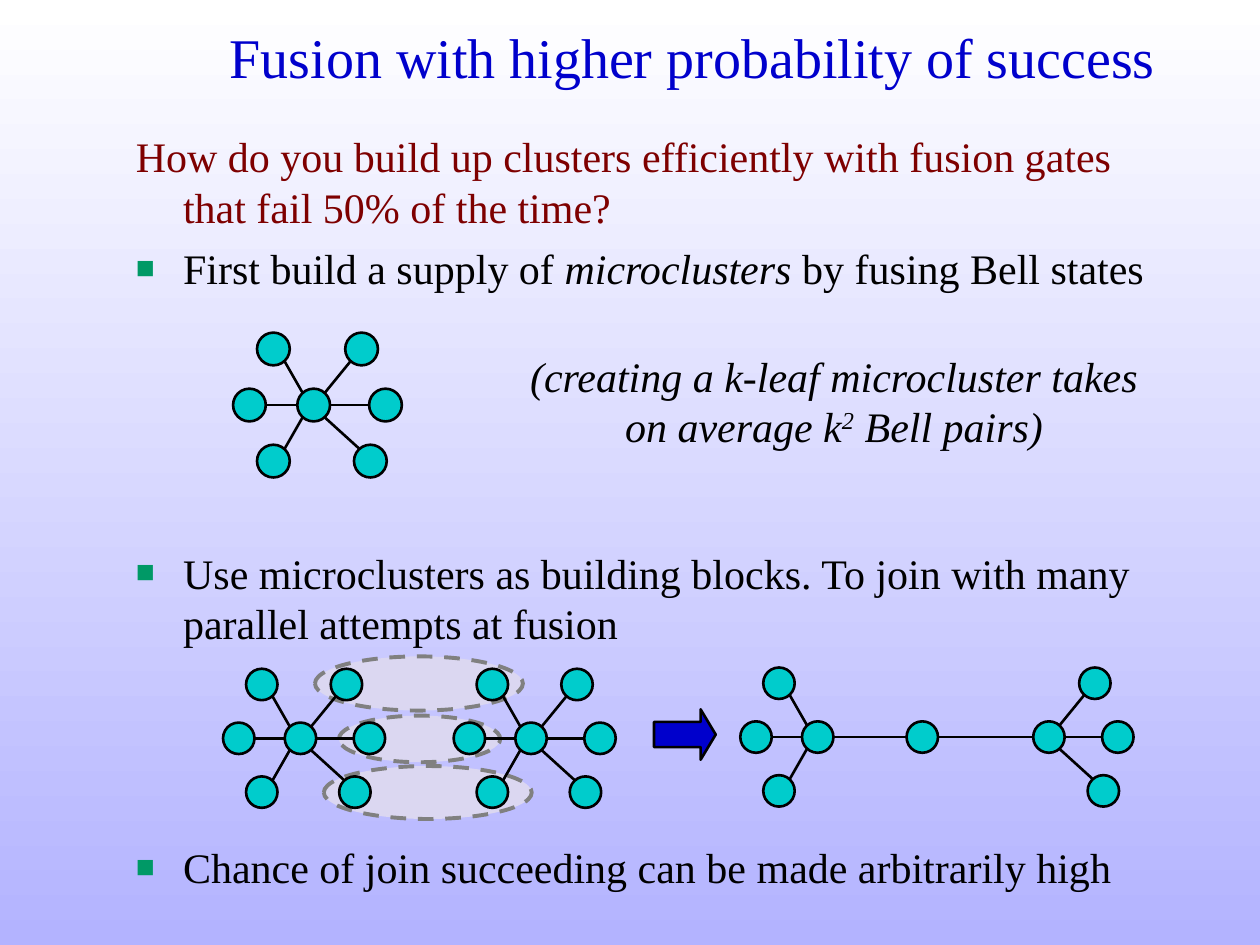
"""Build the slide on fusing microclusters with a higher probability of success."""
import lxml.etree
import pptx
import pptx.dml.color
import pptx.enum.dml
import pptx.enum.shapes
import pptx.enum.text
import pptx.oxml.ns
import pptx.util

RGBColor = pptx.dml.color.RGBColor
MSO_SHAPE = pptx.enum.shapes.MSO_SHAPE
PP_ALIGN = pptx.enum.text.PP_ALIGN

WHITE = RGBColor(0xFF, 0xFF, 0xFF)
LAVENDER = RGBColor(0xB3, 0xB3, 0xFF)
BLACK = RGBColor(0x00, 0x00, 0x00)
BLUE = RGBColor(0x00, 0x00, 0xCC)
MAROON = RGBColor(0x7E, 0x00, 0x00)
TEAL = RGBColor(0x00, 0xCC, 0xCC)
GREEN = RGBColor(0x00, 0x99, 0x66)
GREY = RGBColor(0x80, 0x80, 0x80)
PALE = RGBColor(0xDB, 0xD7, 0xF1)

FONT = "Times New Roman"
SLIDE_WIDTH, SLIDE_HEIGHT = pptx.util.Inches(10), pptx.util.Inches(7.5)
COLUMN, ROW = SLIDE_WIDTH / 100, SLIDE_HEIGHT / 75
NODE = 2.6
SMALL = 0.96
GAP = 6
BLANK_LINE = 28.85 + GAP

LEFT_LEAVES = [(-3.2, -4.45), (-5.1, 0), (-3.2, 4.45)]
RIGHT_LEAVES = [(3.8, -4.45), (5.7, 0), (4.5, 4.45)]
ALL_LEAVES = LEFT_LEAVES + RIGHT_LEAVES

BODY = [
    ([("How do you build up clusters efficiently with fusion gates "
       "that fail 50% of the time?", False)], MAROON, False, 0),
    ([("First build a supply of ", False), ("microclusters ", True),
      ("by fusing Bell states", False)], BLACK, True, GAP),
    ([("Use microclusters as building blocks. To join with many "
       "parallel attempts at fusion", False)], BLACK, True, GAP + 4 * BLANK_LINE),
    ([("Chance of join succeeding can be made arbitrarily high", False)],
     BLACK, True, GAP + 3 * BLANK_LINE),
]


def grid(left, top, width, height):
    """Turn columns and rows into slide lengths."""
    return [round(v) for v in (left * COLUMN, top * ROW, width * COLUMN, height * ROW)]


def style_text(paragraph, size, color):
    """Set the slide's typeface on a paragraph."""
    paragraph.font.name = FONT
    paragraph.font.size = pptx.util.Pt(size)
    paragraph.font.color.rgb = color


def add_title(slide, wording):
    """Place and format the title."""
    title = slide.shapes.title
    title.left, title.top, title.width, title.height = grid(12.5, 0.3, 85, 8.3)
    title.text_frame.text = wording
    title.text_frame.vertical_anchor = pptx.enum.text.MSO_ANCHOR.MIDDLE
    heading = title.text_frame.paragraphs[0]
    heading.alignment = PP_ALIGN.CENTER
    style_text(heading, 32, BLUE)


def add_text_frame(slide, *cells):
    """Add a wrapping text box and return its frame."""
    frame = slide.shapes.add_textbox(*grid(*cells)).text_frame
    frame.word_wrap = True
    return frame


def add_bullet(paragraph):
    """Give a paragraph a small green square bullet."""
    properties = paragraph._p.get_or_add_pPr()
    qn = pptx.oxml.ns.qn
    color = lxml.etree.SubElement(properties, qn("a:buClr"))
    lxml.etree.SubElement(color, qn("a:srgbClr"), val=str(GREEN))
    lxml.etree.SubElement(properties, qn("a:buSzPct"), val="75000")
    lxml.etree.SubElement(properties, qn("a:buFont"), typeface=FONT)
    lxml.etree.SubElement(properties, qn("a:buChar"), char="■")


def add_body(slide):
    """Add the question and its three bulleted answers."""
    frame = add_text_frame(slide, 9.8, 9.9, 85, 62.2)
    for index, (pieces, color, bulleted, space) in enumerate(BODY):
        paragraph = frame.add_paragraph() if index else frame.paragraphs[0]
        properties = paragraph._p.get_or_add_pPr()
        hanging = round(3.75 * COLUMN)
        properties.set("marL", str(hanging))
        properties.set("indent", str(-hanging))
        paragraph.space_before = pptx.util.Pt(space)
        if bulleted:
            add_bullet(paragraph)
        style_text(paragraph, 24, color)
        for wording, italic in pieces:
            run = paragraph.add_run()
            run.text = wording
            run.font.italic = italic


def add_cost_remark(slide):
    """Add the remark on how many Bell pairs a microcluster takes."""
    remark = add_text_frame(slide, 40.6, 27.3, 51.2, 9).paragraphs[0]
    remark.alignment = PP_ALIGN.CENTER
    style_text(remark, 24, BLACK)
    remark.font.italic = True
    for wording in ("(creating a k-leaf microcluster takes on average k", "2", " Bell pairs)"):
        run = remark.add_run()
        run.text = wording
        if wording == "2":
            run._r.get_or_add_rPr().set("baseline", "30000")


def add_outlined(shapes, kind, cells, fill, line=BLACK, weight=1.5):
    """Add a filled preset shape with an outline."""
    shape = shapes.add_shape(kind, *grid(*cells))
    shape.shadow.inherit = False
    shape.fill.solid()
    shape.fill.fore_color.rgb = fill
    shape.line.color.rgb = line
    shape.line.width = pptx.util.Pt(weight)
    return shape


def add_node(shapes, x, y, scale):
    """Add one qubit centred on a grid point."""
    size = NODE * scale
    add_outlined(shapes, MSO_SHAPE.OVAL, (x - size / 2, y - size / 2, size, size), TEAL)


def add_link(shapes, x1, y1, x2, y2):
    """Add a straight bond between two grid points."""
    bond = shapes.add_connector(pptx.enum.shapes.MSO_CONNECTOR.STRAIGHT,
                                *grid(x1, y1, x2, y2))
    bond.line.color.rgb = BLACK
    bond.line.width = pptx.util.Pt(1.5)
    lxml.etree.SubElement(bond._element.spPr, pptx.oxml.ns.qn("a:effectLst"))


def add_cluster(shapes, x, y, leaves, scale=1):
    """Add a hub with its leaves, bonded from rim to rim."""
    add_node(shapes, x, y, scale)
    for across, down in leaves:
        side = 1 if across > 0 else -1
        rim_x, rim_y = (0.9 * side, 1 if down > 0 else -1) if down else (1.3 * side, 0)
        add_node(shapes, x + across * scale, y + down * scale, scale)
        add_link(shapes, x + rim_x * scale, y + rim_y * scale,
                 x + (across - rim_x) * scale, y + (down - rim_y) * scale)


def add_fusion(shapes):
    """Add parallel fusion attempts, an arrow and the joined cluster."""
    for attempt in ((26.9, 56.8, 12.8, 3.7), (25.7, 60.8, 16.5, 4.2), (25, 52.1, 16.5, 4.3)):
        ring = add_outlined(shapes, MSO_SHAPE.OVAL, attempt, PALE, GREY, 2.25)
        ring.line.dash_style = pptx.enum.dml.MSO_LINE.DASH
    for hub in (23.85, 42.15):
        add_cluster(shapes, hub, 58.6, ALL_LEAVES, SMALL)

    arrow = add_outlined(shapes, MSO_SHAPE.RIGHT_ARROW, (51.9, 56.3, 4.9, 4), BLUE)
    arrow.adjustments[1] = 0.3

    left_hub, middle, right_hub, level = 64.9, 73.2, 83.25, 58.5
    add_cluster(shapes, left_hub, level, LEFT_LEAVES, SMALL)
    add_cluster(shapes, right_hub, level, RIGHT_LEAVES, SMALL)
    add_node(shapes, middle, level, SMALL)
    rim = NODE * SMALL / 2
    for start, end in ((left_hub, middle), (middle, right_hub)):
        add_link(shapes, start + rim, level, end - rim, level)


def main():
    """Assemble and save the slide."""
    deck = pptx.Presentation()
    deck.slide_width, deck.slide_height = SLIDE_WIDTH, SLIDE_HEIGHT
    slide = deck.slides.add_slide(deck.slide_layouts.get_by_name("Title Only"))
    backdrop = slide.background.fill
    backdrop.gradient()
    backdrop.gradient_angle = 270
    for stop, color in zip(backdrop.gradient_stops, (WHITE, LAVENDER)):
        stop.color.rgb = color

    add_title(slide, "Fusion with higher probability of success")
    add_body(slide)
    add_cluster(slide.shapes.add_group_shape().shapes, 24.9, 32.15, ALL_LEAVES)
    add_fusion(slide.shapes.add_group_shape().shapes)
    add_cost_remark(slide)
    deck.save("out.pptx")


if __name__ == "__main__":
    main()
